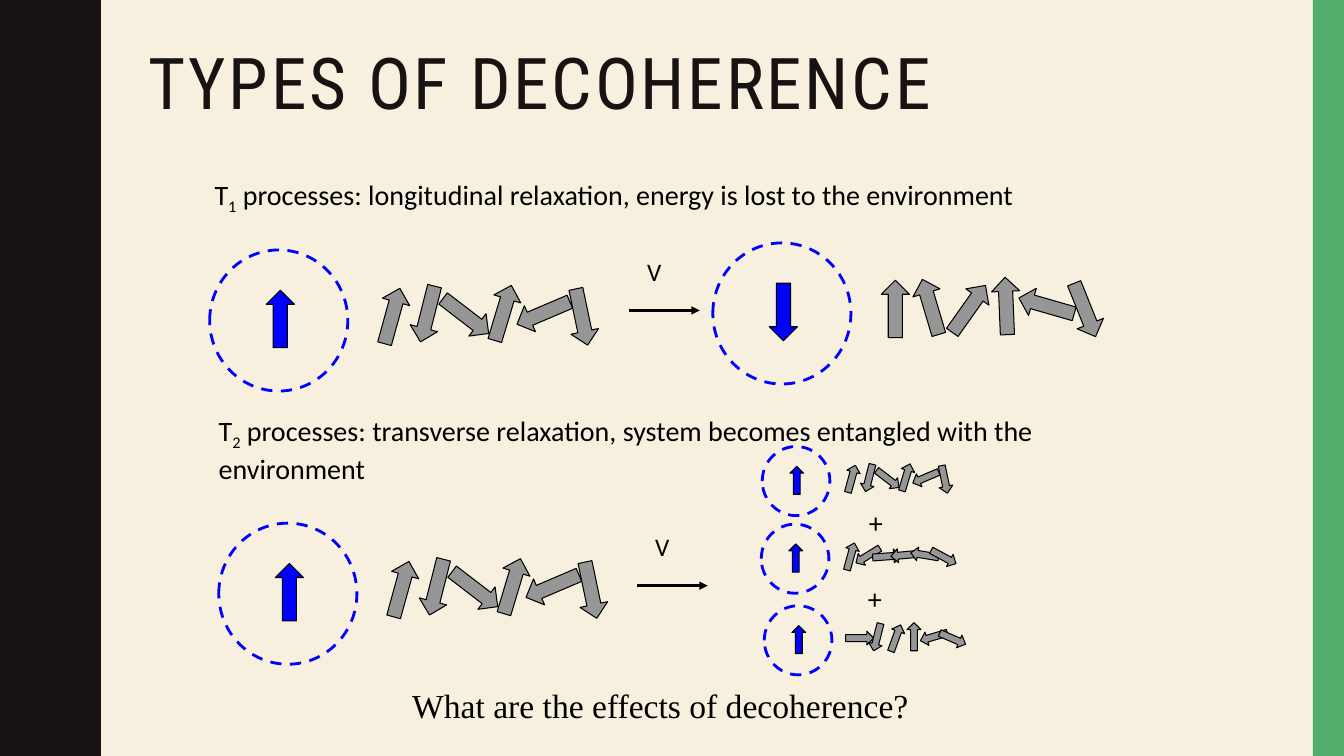
"""Build the slide on types of decoherence."""
from lxml import etree
from pptx import Presentation
from pptx.dml.color import RGBColor
from pptx.enum import dml, shapes, text
from pptx.oxml.ns import qn
from pptx.util import Inches, Pt

CREAM = RGBColor(0xF7, 0xF0, 0xDF)
INK = RGBColor(0x17, 0x13, 0x12)
GREEN = RGBColor(0x53, 0xAE, 0x6E)
BLACK = RGBColor(0, 0, 0)
BLUE = RGBColor(0, 0, 0xFF)
GRAY = RGBColor(0x96, 0x96, 0x96)

SHAPE = shapes.MSO_SHAPE
WIDTH, HEIGHT = 13.33, 7.5
SMALL = 0.49
PERIOD = 1.5
HALF_WAVE = [(0.78, 0), (0.78, 0.07), (0.79, 0.14), (0.8, 0.2), (0.81, 0.25),
             (0.83, 0.29), (0.85, 0.33), (0.87, 0.38), (0.89, 0.42),
             (0.91, 0.46), (0.93, 0.5), (0.95, 0.55), (0.96, 0.61),
             (0.97, 0.68), (0.97, 0.75)]
SPIN_OFFSETS = [(1.67, 0.37), (2.02, 0.35), (2.4, 0.37),
                (2.77, 0.34), (3.17, 0.34), (3.55, 0.38)]
INITIAL = [15.4, 194.2, 127.5, 16.7, 246.9, 168.2]
RELAXED = [0, 343.4, 35.3, 357.6, 286, 158.2]
ENTANGLED = [15.4, 238.3, 85.8, 264.8, 279.3, 118.3]
SCATTERED = [90, 194.2, 20, 0, 253.5, 113.4]


def add_shape(slide, kind, x, y, w, h, fill=None, line=None, weight=0.75):
    """Add a flat preset shape with the given fill and outline."""
    sp = slide.shapes.add_shape(kind, Inches(x), Inches(y), Inches(w), Inches(h))
    paint(sp, fill, line, weight)
    return sp


def paint(sp, fill, line=None, weight=0.75):
    """Set fill and outline and remove the shadow."""
    sp.shadow.inherit = False
    if fill is None:
        sp.fill.background()
    else:
        sp.fill.solid()
        sp.fill.fore_color.rgb = fill
    if line is None:
        sp.line.fill.background()
    else:
        sp.line.color.rgb = line
        sp.line.width = Pt(weight)


def add_text(slide, x, y, w, h, runs, size, font="Calibri", wrap=False):
    """Add one paragraph of (wording, baseline) runs."""
    tf = slide.shapes.add_textbox(Inches(x), Inches(y), Inches(w), Inches(h)).text_frame
    tf.word_wrap = wrap
    tf.auto_size = text.MSO_AUTO_SIZE.SHAPE_TO_FIT_TEXT
    p = tf.paragraphs[0]
    p.font.size, p.font.name = Pt(size), font
    p.font.color.rgb = BLACK
    for wording, baseline in runs:
        r = p.add_run()
        r.text = wording
        if baseline:
            r.font._element.set("baseline", str(baseline))


def add_backdrop(slide):
    """Draw the cream background, wavy left edge and green right edge."""
    slide.background.fill.solid()
    slide.background.fill.fore_color.rgb = CREAM
    wave = HALF_WAVE + [(x, PERIOD - y) for x, y in HALF_WAVE[-2::-1]]
    edge = [(x, y + PERIOD * n) for n in range(5) for x, y in wave]
    builder = slide.shapes.build_freeform(0, 0, scale=Inches(1))
    builder.add_line_segments(edge + [(0, HEIGHT)], close=True)
    paint(builder.convert_to_shape(), INK)
    add_shape(slide, SHAPE.RECTANGLE, WIDTH - 0.31, 0, 0.31, HEIGHT, GREEN)


def add_title(slide, x, y, w, h):
    """Place and format the title placeholder."""
    title = slide.shapes.title
    title.left, title.top, title.width, title.height = map(Inches, (x, y, w, h))
    tf = title.text_frame
    tf.text = "TYPES OF DECOHERENCE"
    tf.vertical_anchor = text.MSO_ANCHOR.TOP
    tf.auto_size = text.MSO_AUTO_SIZE.NONE
    p = tf.paragraphs[0]
    p.alignment = text.PP_ALIGN.LEFT
    p.line_spacing = 0.9
    p.font.size, p.font.name = Pt(51), "Roboto Condensed"
    p.font.color.rgb = INK
    p.runs[0].font._element.set("spc", "200")


def add_spin(slide, x, y, scale, angle, fill):
    """Draw one spin arrow turned clockwise from up."""
    sp = add_shape(slide, SHAPE.UP_ARROW, x, y, 0.28 * scale, 0.57 * scale, fill, BLACK)
    sp.rotation = angle


def add_state(slide, x, y, angles, scale=1, system_angle=0, shift=0):
    """Draw a circled system spin followed by its environment spins."""
    for (dx, dy), angle in zip(SPIN_OFFSETS, angles):
        add_spin(slide, x + dx * scale + shift, y + dy * scale, scale, angle, GRAY)
    circle = add_shape(slide, SHAPE.OVAL, x, y, 1.37 * scale, 1.4 * scale, None, BLUE, 2)
    circle.line.dash_style = dml.MSO_LINE.DASH
    add_spin(slide, x + 0.56 * scale, y + 0.4 * scale, scale, system_angle, BLUE)


def add_interaction(slide, x, y):
    """Draw the arrow labelled V, starting at the given point."""
    line = slide.shapes.add_connector(
        shapes.MSO_CONNECTOR.STRAIGHT, Inches(x), Inches(y), Inches(x + 0.7), Inches(y))
    line.line.color.rgb = BLACK
    line.line.width = Pt(2)
    etree.SubElement(line.line._get_or_add_ln(), qn("a:tailEnd"), type="triangle")
    etree.SubElement(line._element.spPr, qn("a:effectLst"))
    add_text(slide, x + 0.08, y - 0.59, 0.35, 0.4, [("V", 0)], 18)


def add_longitudinal(slide, x, y):
    """Draw the T1 process with its heading at the given corner."""
    heading = [("T", 0), ("1", -25000),
               (" processes: longitudinal relaxation, energy is lost to the environment", 0)]
    add_text(slide, x, y, 8.17, 0.44, heading, 20)
    add_state(slide, x + 0.05, y + 0.77, INITIAL)
    add_interaction(slide, x + 4.21, y + 1.37)
    add_state(slide, x + 5.04, y + 0.7, RELAXED, system_angle=180)


def add_transverse(slide, x, y):
    """Draw the T2 process with its heading at the given corner."""
    heading = [("T", 0), ("2", -25000),
               (" processes: transverse relaxation, system becomes entangled"
                " with the environment", 0)]
    add_text(slide, x, y, 8.78, 0.77, heading, 20, wrap=True)
    add_state(slide, x + 0.1, y + 1.14, INITIAL)
    add_interaction(slide, x + 4.25, y + 1.76)
    add_state(slide, x + 5.49, y + 0.38, INITIAL, SMALL)
    add_state(slide, x + 5.48, y + 1.15, ENTANGLED, SMALL)
    add_state(slide, x + 5.51, y + 1.96, SCATTERED, SMALL, shift=0.06)
    for dx, dy in ((6.45, 0.92), (6.44, 1.67)):
        add_text(slide, x + dx, y + dy, 0.36, 0.43, [("+", 0)], 20)


def main():
    """Assemble and save the slide."""
    prs = Presentation()
    prs.slide_width, prs.slide_height = Inches(WIDTH), Inches(HEIGHT)
    slide = prs.slides.add_slide(prs.slide_layouts[5])
    add_backdrop(slide)
    add_title(slide, 1.37, 0.42, 11.13, 1.63)
    add_longitudinal(slide, 2.03, 1.71)
    add_transverse(slide, 2.07, 4.05)
    add_text(slide, 3.99, 6.75, 5.13, 0.5,
             [("What are the effects of decoherence?", 0)], 24, "Times New Roman")
    prs.save("out.pptx")


if __name__ == "__main__":
    main()
